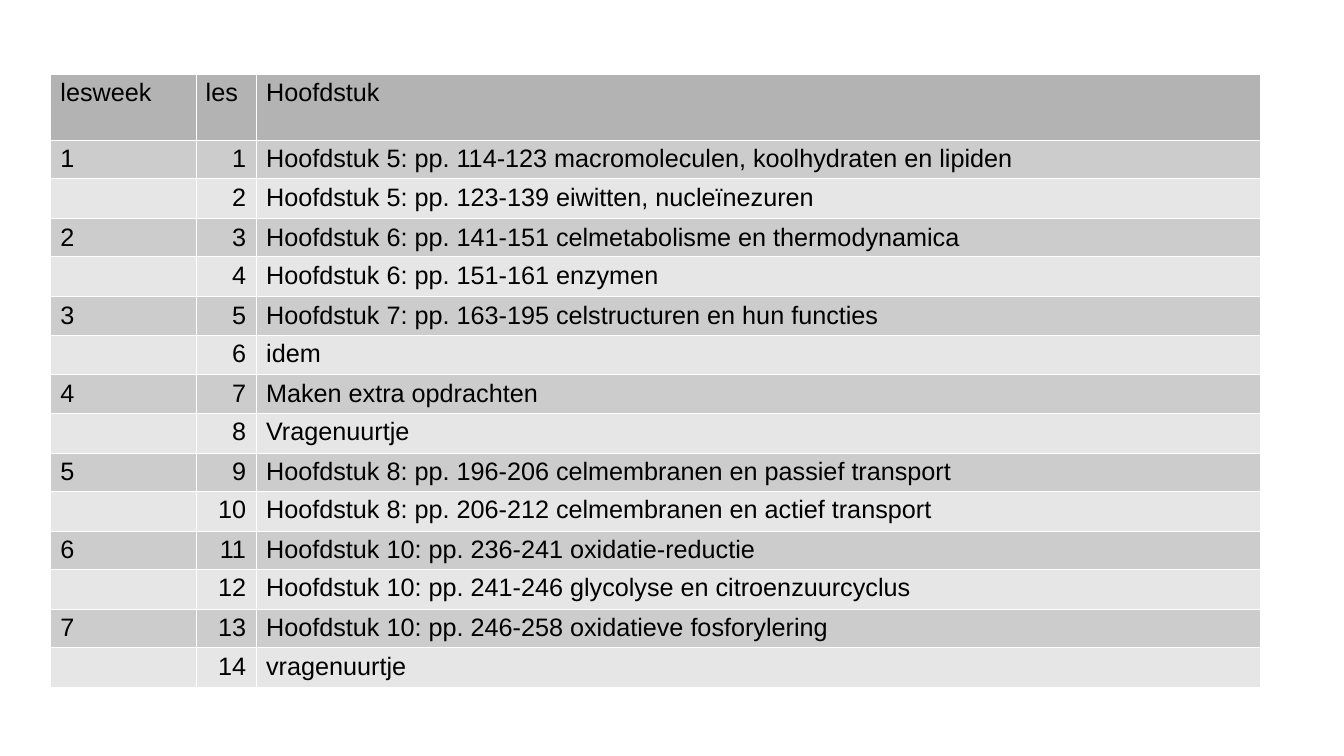
from lxml import etree
from pptx import Presentation
from pptx import util as u
from pptx.dml.color import RGBColor
from pptx.enum import text
from pptx.oxml.ns import qn

EMU_PER_PX = 9144  # 100 px to the inch
COLUMN_WIDTHS = [144, 60, 996]
HEADER_HEIGHT, LESSON_HEIGHT = 66, 38
HEADER_FILL, WEEK_FILL, SECOND_FILL = "B3B3B3", "CCCCCC", "E6E6E6"

HEADINGS = ["lesweek", "les", "Hoofdstuk"]
LESSONS = [
    "Hoofdstuk 5: pp. 114-123 macromoleculen, koolhydraten en lipiden",
    "Hoofdstuk 5: pp. 123-139 eiwitten, nucleïnezuren",
    "Hoofdstuk 6: pp. 141-151 celmetabolisme en thermodynamica",
    "Hoofdstuk 6: pp. 151-161 enzymen",
    "Hoofdstuk 7: pp. 163-195 celstructuren en hun functies",
    "idem",
    "Maken extra opdrachten",
    "Vragenuurtje",
    "Hoofdstuk 8: pp. 196-206 celmembranen en passief transport",
    "Hoofdstuk 8: pp. 206-212 celmembranen en actief transport",
    "Hoofdstuk 10: pp. 236-241 oxidatie-reductie",
    "Hoofdstuk 10: pp. 241-246 glycolyse en citroenzuurcyclus",
    "Hoofdstuk 10: pp. 246-258 oxidatieve fosforylering",
    "vragenuurtje",
]


def px(length):
    return u.Emu(length * EMU_PER_PX)


def color(value):
    return RGBColor.from_string(value)


def add_borders(cell, value):
    """Draw a hairline on all four sides; call before the cell gets its fill."""
    properties = cell._tc.get_or_add_tcPr()
    for side in ("a:lnL", "a:lnR", "a:lnT", "a:lnB"):
        line = etree.SubElement(properties, qn(side), w="762")
        fill = etree.SubElement(line, qn("a:solidFill"))
        etree.SubElement(fill, qn("a:srgbClr"), val=value)


def format_cell(cell, words, fill, align=text.PP_ALIGN.LEFT):
    add_borders(cell, "FFFFFF")
    cell.fill.solid()
    cell.fill.fore_color.rgb = color(fill)
    cell.margin_left = cell.margin_right = px(10)
    cell.margin_top, cell.margin_bottom = px(5), px(4)
    cell.text_frame.text = words
    para = cell.text_frame.paragraphs[0]
    para.alignment = align
    para.font.size = u.Pt(18)
    for span in para.runs:
        span.font.name = "Arial"
        span.font.size = u.Pt(18)
        span.font.color.rgb = color("000000")


def add_schedule(slide):
    heights = [HEADER_HEIGHT] + [LESSON_HEIGHT] * len(LESSONS)
    table = slide.shapes.add_table(
        len(heights), len(COLUMN_WIDTHS), px(50), px(73),
        px(sum(COLUMN_WIDTHS)), px(sum(heights))).table
    table.horz_banding = False
    for column, width in zip(table.columns, COLUMN_WIDTHS):
        column.width = px(width)
    for row, height in zip(table.rows, heights):
        row.height = px(height)

    for index, heading in enumerate(HEADINGS):
        format_cell(table.cell(0, index), heading, HEADER_FILL)
    for number, chapter in enumerate(LESSONS, start=1):
        starts_week = number % 2 == 1
        fill = WEEK_FILL if starts_week else SECOND_FILL
        week = str(number // 2 + 1) if starts_week else ""
        format_cell(table.cell(number, 0), week, fill)
        format_cell(table.cell(number, 1), str(number), fill, text.PP_ALIGN.RIGHT)
        format_cell(table.cell(number, 2), chapter, fill)


def main():
    deck = Presentation()
    deck.slide_width, deck.slide_height = u.Inches(13.33), u.Inches(7.5)
    slide = deck.slides.add_slide(deck.slide_layouts[6])
    add_schedule(slide)
    deck.save("out.pptx")


if __name__ == "__main__":
    main()
